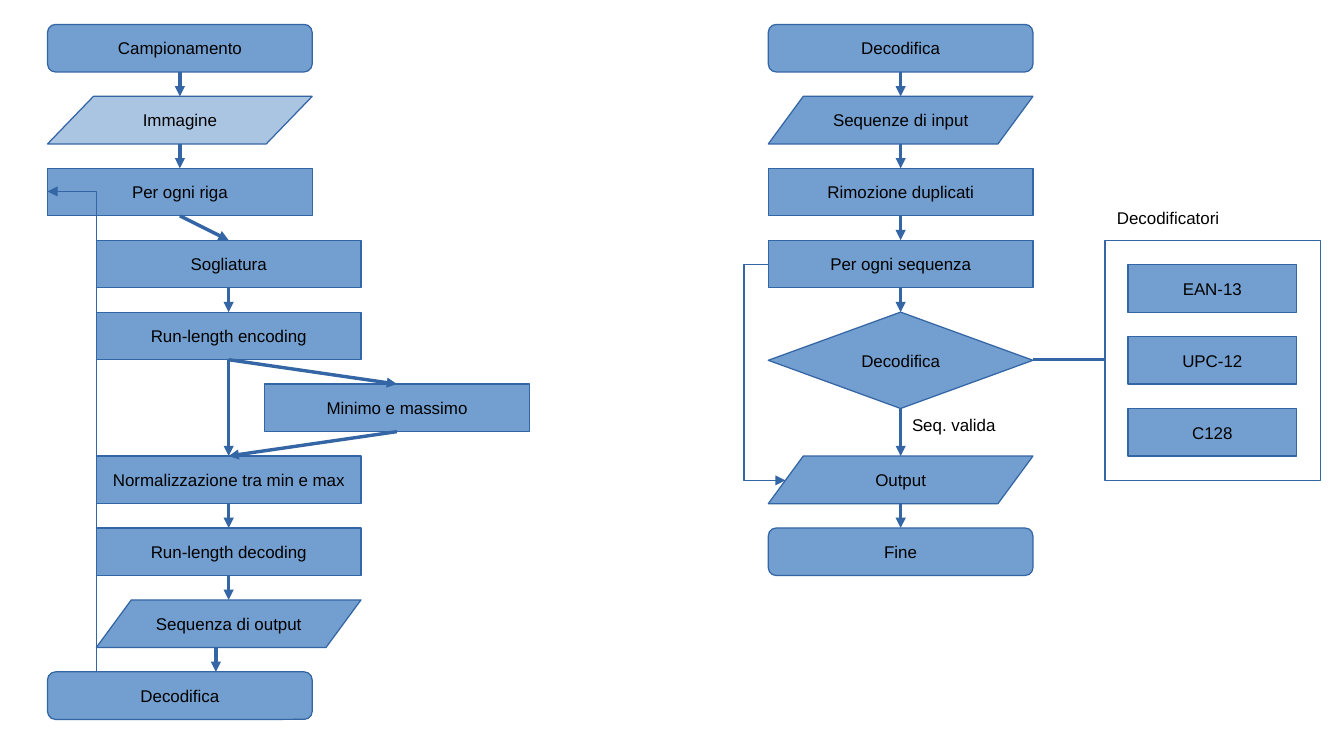
from dataclasses import dataclass
from itertools import pairwise

from lxml import etree
from pptx import Presentation
from pptx.dml.color import RGBColor
from pptx.enum.shapes import MSO_CONNECTOR, MSO_SHAPE
from pptx.enum.text import MSO_ANCHOR, MSO_AUTO_SIZE, PP_ALIGN
from pptx.oxml.ns import qn
from pptx.util import Inches, Pt

PROCESS = MSO_SHAPE.RECTANGLE
TERMINAL = MSO_SHAPE.ROUNDED_RECTANGLE
DATA = MSO_SHAPE.PARALLELOGRAM
DECISION = MSO_SHAPE.DIAMOND
STRAIGHT = MSO_CONNECTOR.STRAIGHT
LEFT, CENTER = PP_ALIGN.LEFT, PP_ALIGN.CENTER
TOP, MIDDLE = MSO_ANCHOR.TOP, MSO_ANCHOR.MIDDLE
GROW = MSO_AUTO_SIZE.SHAPE_TO_FIT_TEXT

COLORS = {"fill": "729FCF", "line": "3465A4", "text": "000000"}
FONT = "Arial"
FIRST_ROW, ROW_STEP = 0.2, 0.59
BOX_WIDTH, BOX_HEIGHT = 2.17, 0.39
OUTER, INNER, BRANCH, DECODE = 0.39, 0.79, 2.17, 6.3
DATA_SLANT = 0.735

Point = tuple[float, float]


@dataclass
class Step:
    text: str
    left: float
    row: int
    kind: MSO_SHAPE = PROCESS
    height: float = BOX_HEIGHT
    slant: float = DATA_SLANT
    opacity: int = 100

    @property
    def top(self) -> float:
        return FIRST_ROW + self.row * ROW_STEP

    @property
    def head(self) -> Point:
        return self.left + BOX_WIDTH / 2, self.top

    @property
    def foot(self) -> Point:
        return self.left + BOX_WIDTH / 2, self.top + self.height


SAMPLING = [
    Step("Campionamento", OUTER, 0, TERMINAL),
    Step("Immagine", OUTER, 1, DATA, slant=0.965, opacity=60),
    Step("Per ogni riga", OUTER, 2),
    Step("Sogliatura", INNER, 3),
    Step("Run-length encoding", INNER, 4),
    Step("Normalizzazione tra min e max", INNER, 6),
    Step("Run-length decoding", INNER, 7),
    Step("Sequenza di output", INNER, 8, DATA),
]
MIN_MAX = Step("Minimo e massimo", BRANCH, 5)
SAMPLING_END = Step("Decodifica", OUTER, 9, TERMINAL)
DECODING = [
    Step("Decodifica", DECODE, 0, TERMINAL),
    Step("Sequenze di input", DECODE, 1, DATA),
    Step("Rimozione duplicati", DECODE, 2),
    Step("Per ogni sequenza", DECODE, 3),
    Step("Decodifica", DECODE, 4, DECISION, height=0.79),
    Step("Output", DECODE, 6, DATA),
    Step("Fine", DECODE, 7, TERMINAL),
]
DECODERS = ["EAN-13", "UPC-12", "C128"]


def write_text(shape, text: str, *, align=CENTER, anchor=MIDDLE, wrap=False) -> None:
    frame = shape.text_frame
    frame.word_wrap = wrap
    frame.vertical_anchor = anchor
    para = frame.paragraphs[0]
    para.alignment = align
    span = para.add_run()
    span.text = text
    span.font.name = FONT
    span.font.size = Pt(10)
    span.font.color.rgb = RGBColor.from_string(COLORS["text"])


def style_line(shape, arrow: bool = False) -> None:
    """Give a hairline outline, with an arrowhead at its end if asked."""
    shape.line.color.rgb = RGBColor.from_string(COLORS["line"])
    shape.line.width = Pt(0)
    if arrow:
        outline = shape.line._get_or_add_ln()
        etree.SubElement(outline, qn("a:tailEnd"), type="triangle")


def add_box(page, kind, left: float, top: float, width: float, height: float,
            *, text: str = "", opacity: int = 100, filled: bool = True):
    box = page.shapes.add_shape(
        kind, Inches(left), Inches(top), Inches(width), Inches(height))
    box.shadow.inherit = False
    style_line(box)
    if filled:
        box.fill.solid()
        box.fill.fore_color.rgb = RGBColor.from_string(COLORS["fill"])
        if opacity < 100:
            color = box.fill._xPr.find(f".//{qn('a:srgbClr')}")
            etree.SubElement(color, qn("a:alpha"), val=str(opacity * 1000))
    else:
        box.fill.background()
    if text:
        write_text(box, text)
    return box


def add_step(page, step: Step) -> None:
    box = add_box(page, step.kind, step.left, step.top, BOX_WIDTH, step.height,
                  text=step.text, opacity=step.opacity)
    if step.kind == DATA:
        box.adjustments[0] = step.slant


def add_line(page, start: Point, end: Point, arrow: bool = True) -> None:
    line = page.shapes.add_connector(
        STRAIGHT, *(Inches(value) for value in (*start, *end)))
    style_line(line, arrow)
    etree.SubElement(line._element.spPr, qn("a:effectLst"))


def add_bent_arrow(page, points: list[Point]) -> None:
    start, *rest = [(Inches(x), Inches(y)) for x, y in points]
    builder = page.shapes.build_freeform(*start)
    builder.add_line_segments(rest, close=False)
    path = builder.convert_to_shape()
    path.shadow.inherit = False
    path.fill.background()
    style_line(path, arrow=True)


def add_label(page, text: str, left: float, top: float, width: float,
              height: float, wrap: bool) -> None:
    label = page.shapes.add_textbox(
        Inches(left), Inches(top), Inches(width), Inches(height))
    write_text(label, text, align=LEFT, anchor=TOP, wrap=wrap)
    label.text_frame.auto_size = GROW


def draw_sampling(page) -> None:
    for step in [*SAMPLING, MIN_MAX]:
        add_step(page, step)
    for before, after in pairwise(SAMPLING):
        add_line(page, before.foot, after.head)
    encoding, normalizing = SAMPLING[4:6]
    add_line(page, encoding.foot, MIN_MAX.head)
    add_line(page, MIN_MAX.foot, normalizing.head)
    add_line(page, (1.77, SAMPLING[-1].foot[1]), (1.77, SAMPLING_END.top))
    add_bent_arrow(page, [(INNER, SAMPLING_END.top), (INNER, 1.57), (OUTER, 1.57)])
    add_step(page, SAMPLING_END)


def draw_decoding(page) -> None:
    for step in DECODING:
        add_step(page, step)
    for before, after in pairwise(DECODING):
        add_line(page, before.foot, after.head)
    add_bent_arrow(page, [(DECODE, 2.17), (6.1, 2.17), (6.1, 3.94), (6.44, 3.94)])
    add_label(page, "Seq. valida", 7.38, 3.35, 1.67, BOX_HEIGHT, wrap=True)


def draw_decoders(page) -> None:
    add_box(page, PROCESS, 9.06, 1.97, 1.77, 1.97, filled=False)
    for index, name in enumerate(DECODERS):
        add_box(page, PROCESS, 9.25, 2.17 + index * ROW_STEP, 1.38, BOX_HEIGHT,
                text=name)
    add_label(page, "Decodificatori", 9.06, 1.65, 1.04, 0.25, wrap=False)
    add_line(page, (9.06, 2.95), (DECODE + BOX_WIDTH, 2.95), arrow=False)


def main() -> None:
    deck = Presentation()
    deck.slide_width, deck.slide_height = Inches(11.02), Inches(6.2)
    page = deck.slides.add_slide(deck.slide_layouts[6])
    draw_sampling(page)
    draw_decoding(page)
    draw_decoders(page)
    deck.save("out.pptx")


if __name__ == "__main__":
    main()
